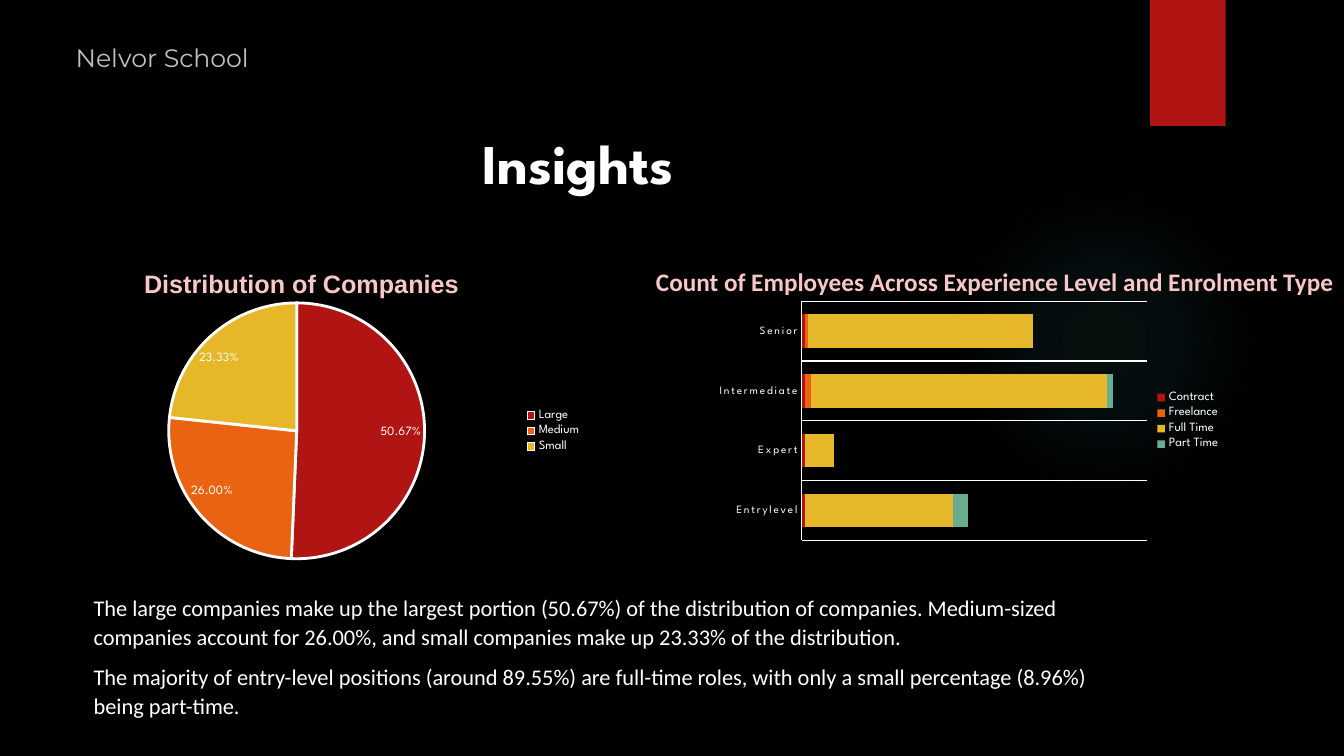
"""Build the Insights slide: company sizes and employees by experience level."""
from dataclasses import dataclass

from lxml.etree import SubElement
from pptx import Presentation
from pptx.chart.data import CategoryChartData
from pptx.dml.color import RGBColor
from pptx.enum.chart import XL_CHART_TYPE, XL_LABEL_POSITION, XL_LEGEND_POSITION, XL_TICK_MARK
from pptx.enum.shapes import MSO_SHAPE
from pptx.oxml import parse_xml
from pptx.oxml.ns import nsdecls, qn
from pptx.util import Pt


@dataclass(frozen=True)
class Theme:
    black: RGBColor = RGBColor(0x00, 0x00, 0x00)
    white: RGBColor = RGBColor(0xFF, 0xFF, 0xFF)
    grey: RGBColor = RGBColor(0xBF, 0xBF, 0xBF)
    pink: RGBColor = RGBColor(0xF9, 0xC7, 0xC6)
    red: RGBColor = RGBColor(0xB0, 0x15, 0x13)
    orange: RGBColor = RGBColor(0xEA, 0x63, 0x12)
    yellow: RGBColor = RGBColor(0xE6, 0xB7, 0x29)
    green: RGBColor = RGBColor(0x6A, 0xAC, 0x90)
    glow: str = "50B9C1"
    display: str = "League Spartan"
    body: str = "Calibri"
    title_size: int = 40
    heading_size: int = 18
    body_size: int = 16
    chart_size: int = 10
    legend_size: int = 9
    axis_size: int = 8


theme = Theme()
palette = [theme.red, theme.orange, theme.yellow, theme.green]

deck = Presentation()
deck.slide_width, deck.slide_height = Pt(960), Pt(540)
slide = deck.slides.add_slide(deck.slide_layouts[6])
slide.background.fill.solid()
slide.background.fill.fore_color.rgb = theme.black


def style_font(font, size, color=theme.white, name=theme.display, bold=False):
    font.size, font.name, font.bold = Pt(size), name, bold
    font.color.rgb = color


def add_chart(kind, box, plot, categories, series):
    data = CategoryChartData()
    data.categories = categories
    for name, values in series:
        data.add_series(name, values)
    chart = slide.shapes.add_chart(kind, *map(Pt, box), data).chart
    chart.has_title = False
    style_font(chart.font, theme.chart_size)
    chart.has_legend = True
    chart.legend.position = XL_LEGEND_POSITION.RIGHT
    chart.legend.include_in_layout = False
    style_font(chart.legend.font, theme.legend_size)
    plot_area = chart.element.find(".//" + qn("c:plotArea"))
    for layout in plot_area.findall(qn("c:layout")):
        plot_area.remove(layout)
    layout = parse_xml(f"<c:layout {nsdecls('c')}/>")
    manual = SubElement(layout, qn("c:manualLayout"))
    settings = [("layoutTarget", "inner"), ("xMode", "edge"), ("yMode", "edge"), *zip("xywh", plot)]
    for key, value in settings:
        SubElement(manual, qn(f"c:{key}")).set("val", str(value))
    plot_area.insert(0, layout)
    return chart


glow = slide.shapes.add_shape(MSO_SHAPE.OVAL, Pt(677.5), Pt(131.8), Pt(221.8), Pt(221.8))
tab = slide.shapes.add_shape(MSO_SHAPE.RECTANGLE, Pt(821.5), Pt(0), Pt(54), Pt(90))
for decoration in (glow, tab):
    decoration.shadow.inherit = False
    decoration.line.fill.background()
tab.fill.solid()
tab.fill.fore_color.rgb = theme.red

stops = "".join(
    f'<a:gs pos="{position * 1000}"><a:srgbClr val="{theme.glow}">'
    f'<a:alpha val="{alpha * 1000}"/></a:srgbClr></a:gs>'
    for position, alpha in [(0, 7), (36, 6), (69, 0), (100, 0)]
)
glow.element.spPr.find(qn("a:prstGeom")).addnext(parse_xml(
    f'<a:gradFill {nsdecls("a")}><a:gsLst>{stops}</a:gsLst><a:path path="circle">'
    '<a:fillToRect l="50000" t="50000" r="50000" b="50000"/></a:path></a:gradFill>'
))

companies = add_chart(
    XL_CHART_TYPE.PIE, (49.7, 205.9, 373, 203.8), (0.19, 0.05, 0.49, 0.9),
    ["Large", "Medium", "Small"], [("Series 1", [0.5067, 0.26, 0.2333])],
)
shares = companies.plots[0].series[0]
for index, color in enumerate(palette[:3]):
    wedge = shares.points[index].format
    wedge.fill.solid()
    wedge.fill.fore_color.rgb = color
    wedge.line.color.rgb = theme.white
    wedge.line.width = Pt(2)
share_labels = shares.data_labels
share_labels.show_value = True
share_labels.number_format = "0.00%"
share_labels.number_format_is_linked = False
share_labels.position = XL_LABEL_POSITION.BEST_FIT
style_font(share_labels.font, theme.legend_size)

employees = add_chart(
    XL_CHART_TYPE.BAR_STACKED, (505.4, 211.7, 373.7, 177.8), (0.18, 0.02, 0.66, 0.96),
    ["Entrylevel", "Expert", "Intermediate", "Senior"],
    [
        ("Contract", [1, 1, 1, 1]),
        ("Freelance", [None, None, 2, 1]),
        ("Full Time", [50, 10, 100, 76]),
        ("Part Time", [5, None, 2, None]),
    ],
)
bars = employees.plots[0]
bars.gap_width, bars.overlap, bars.vary_by_categories = 79, 100, False
for enrolment, color in zip(bars.series, palette):
    enrolment.format.fill.solid()
    enrolment.format.fill.fore_color.rgb = color

count_axis = employees.value_axis
count_axis.minimum_scale, count_axis.maximum_scale = 0, 116.5
count_axis.has_major_gridlines = False
count_axis.visible = False
level_axis = employees.category_axis
level_axis.major_tick_mark = level_axis.minor_tick_mark = XL_TICK_MARK.NONE
level_axis.has_major_gridlines = True
for line in (level_axis.format.line, level_axis.major_gridlines.format.line):
    line.color.rgb = theme.white
    line.width = Pt(0.75)
style_font(level_axis.tick_labels.font, theme.axis_size)
level_axis._element.find(".//" + qn("a:defRPr")).set("spc", "120")

findings = [
    "The large companies make up the largest portion (50.67%) of the distribution of companies. "
    "Medium-sized companies account for 26.00%, and small companies make up 23.33% of the distribution.",
    "The majority of entry-level positions (around 89.55%) are full-time roles, "
    "with only a small percentage (8.96%) being part-time.",
]
texts = [
    (findings, (59.8, 419.8, 724.3, 112), theme.body_size, theme.white, theme.body, False, 1.07),
    (["Distribution of Companies"], (95.8, 186.5, 241.9, 32),
     theme.heading_size, theme.pink, "Arial", True, 1.07),
    (["Count of Employees Across Experience Level and Enrolment Type"], (461.5, 186.5, 498.5, 32),
     theme.heading_size, theme.pink, theme.body, True, 1.0),
    (["Insights"], (337.7, 88.6, 193, 55.4),
     theme.title_size, theme.white, theme.display, True, 1.0),
    (["Nelvor School"], (54, 10.1, 169.9, 37.4),
     theme.heading_size, theme.grey, "Montserrat", False, Pt(42)),
]
for paragraphs, box, size, color, typeface, bold, spacing in texts:
    frame = slide.shapes.add_textbox(*map(Pt, box)).text_frame
    frame.word_wrap = typeface == "Montserrat" or size != theme.heading_size
    if typeface == "Montserrat":
        frame.margin_left = frame.margin_top = frame.margin_right = frame.margin_bottom = 0
    frame.text = "\n".join(paragraphs)
    for paragraph in frame.paragraphs:
        paragraph.line_spacing = spacing
        paragraph.space_after = Pt(8 if spacing == 1.07 else 0)
        style_font(paragraph.font, size, color, typeface, bold)

deck.save("out.pptx")
